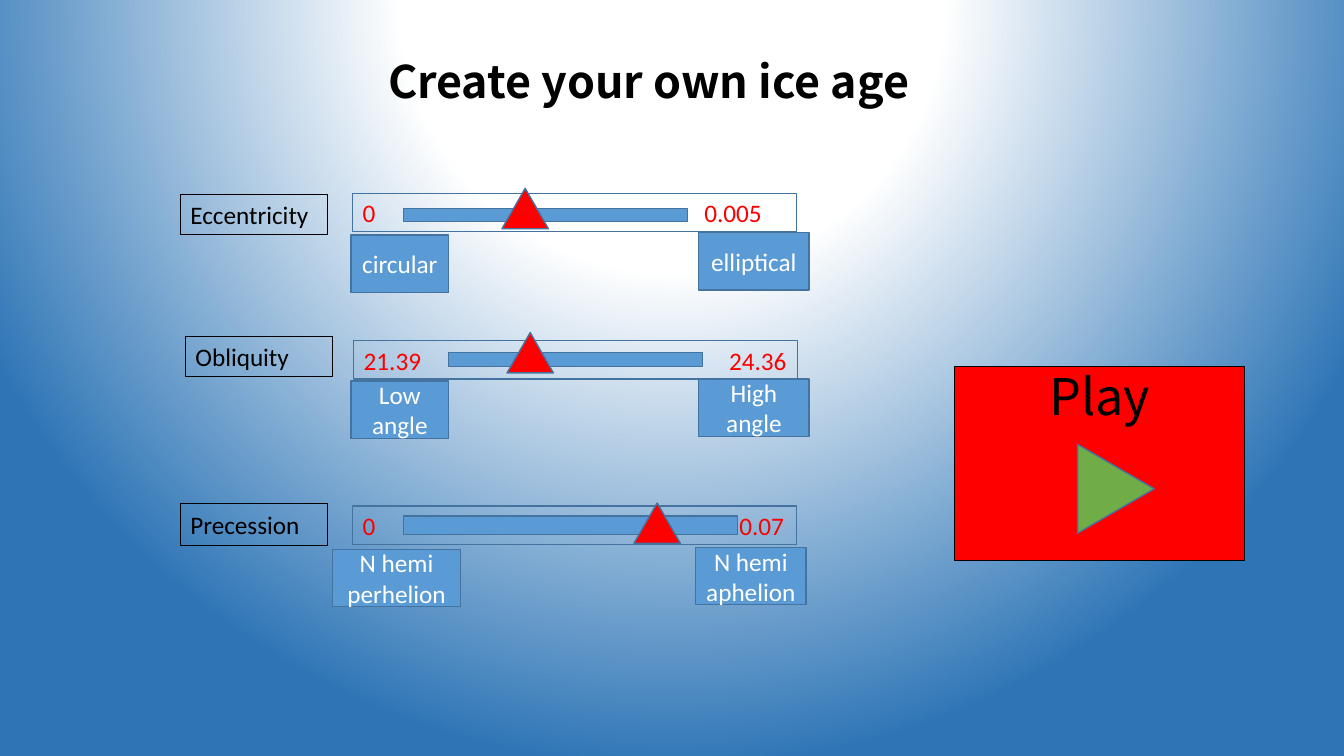
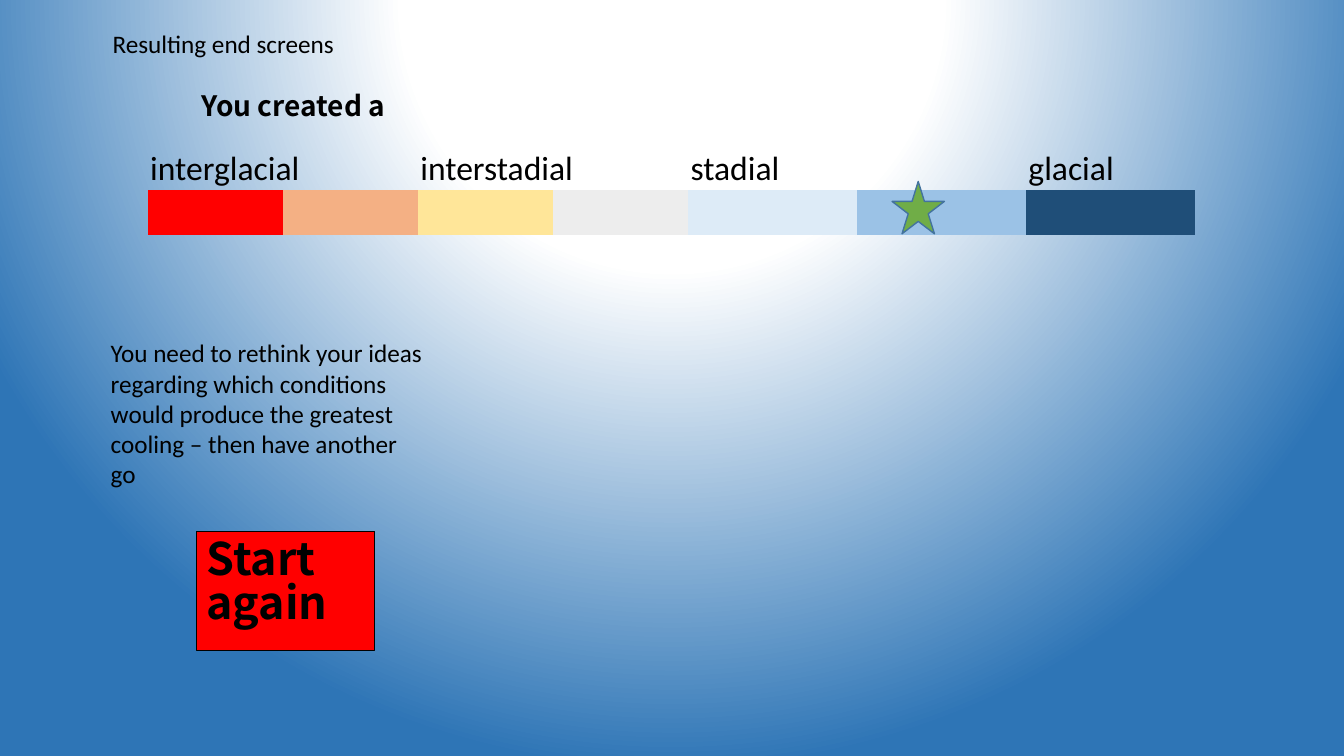
import dataclasses

import pptx
import pptx.dml.color
import pptx.enum.shapes
import pptx.enum.text
import pptx.oxml
import pptx.oxml.ns
import pptx.util

Pt = pptx.util.Pt
RGBColor = pptx.dml.color.RGBColor
SHAPE = pptx.enum.shapes.MSO_SHAPE
ALIGN = pptx.enum.text.PP_ALIGN
ANCHOR = pptx.enum.text.MSO_ANCHOR
qn = pptx.oxml.ns.qn

BLACK = RGBColor(0x00, 0x00, 0x00)
WHITE = RGBColor(0xFF, 0xFF, 0xFF)
RED = RGBColor(0xFF, 0x00, 0x00)
BLUE = RGBColor(0x5B, 0x9B, 0xD5)
EDGE = RGBColor(0x43, 0x73, 0x9E)
GREEN = RGBColor(0x70, 0xAD, 0x47)
ORANGE = RGBColor(0xF4, 0xB0, 0x84)
YELLOW = RGBColor(0xFF, 0xE6, 0x99)
GREY = RGBColor(0xED, 0xED, 0xED)
PALE_BLUE = RGBColor(0xDD, 0xEB, 0xF7)
SKY_BLUE = RGBColor(0x9B, 0xC2, 0xE6)
NAVY = RGBColor(0x1F, 0x4E, 0x78)
BODY_FONT = "Calibri"
DISPLAY_FONT = "Noto Sans CJK KR"
NO_GRID_STYLE = "{2D5ABB26-0587-4C30-8999-92F81FD0307C}"
GLOW = (
    '<a:gradFill xmlns:a="http://schemas.openxmlformats.org/drawingml/2006/main" rotWithShape="1">'
    '<a:gsLst><a:gs pos="0"><a:srgbClr val="FFFFFF"/></a:gs>'
    '<a:gs pos="35000"><a:srgbClr val="FFFFFF"/></a:gs>'
    '<a:gs pos="100000"><a:srgbClr val="2E75B6"/></a:gs></a:gsLst>'
    '<a:path path="circle"><a:fillToRect l="50000" t="-80000" r="50000" b="180000"/></a:path>'
    '</a:gradFill>'
)


@dataclasses.dataclass
class Slider:
    """One orbital setting with its scale, end captions and marker, in points."""
    name: str
    label: tuple
    track: tuple
    frame: tuple
    limits: str
    tab: float
    low: tuple
    high: tuple
    marker: tuple


SLIDERS = [
    Slider("Eccentricity", (128.9, 139, 105, 28.8), (288, 149, 203, 9.4), (252, 138.2),
           "0\t0.005", 244, ("circular", 250.6, 167.8, 70), ("elliptical", 499, 166.3, 79),
           (358.6, 134.6)),
    Slider("Obliquity", (132.5, 240.5, 105, 28.8), (320.4, 252, 181.4, 10), (252.7, 243.4),
           "21.39\t24.36", 261, ("Low angle", 250.6, 272.2, 70), ("High angle", 499, 270.7, 79),
           (362.2, 237.6)),
    Slider("Precession", (128.9, 360, 105, 30), (288, 368.6, 239, 13), (252, 361.4),
           "0\t0.07", 269, ("N hemi perhelion", 237.6, 392.4, 91.4),
           ("N hemi aphelion", 496.8, 391, 79), (452.9, 359.3)),
]


def points(place):
    """Turn left, top, width and height into lengths."""
    return [Pt(value) for value in place]


def write(holder, text, size=18, font=BODY_FONT, color=BLACK, bold=False,
          align=ALIGN.LEFT, anchor=ANCHOR.TOP):
    """Fill a text holder with one styled paragraph."""
    frame = holder.text_frame
    frame.text = text
    frame.word_wrap = True
    frame.vertical_anchor = anchor
    para = frame.paragraphs[0]
    para.alignment = align
    span = para.runs[0].font
    span.size, span.name, span.bold = Pt(size), font, bold
    span.color.rgb = color
    if font == DISPLAY_FONT:
        para.line_spacing = 0.83
        frame.margin_top = Pt(6)


def add_title(page, text, place, size):
    """Place and style the title placeholder."""
    title = page.shapes.title
    title.left, title.top, title.width, title.height = points(place)
    write(title, text, size, DISPLAY_FONT, bold=True)
    title.text_frame.auto_size = pptx.enum.text.MSO_AUTO_SIZE.NONE


def add_shape(page, kind, place, fill=None, edge=EDGE, edge_width=1):
    """Draw a preset shape, hollow when no fill is given."""
    shape = page.shapes.add_shape(kind, *points(place))
    shape.shadow.inherit = False
    if fill is None:
        shape.fill.background()
    else:
        shape.fill.solid()
        shape.fill.fore_color.rgb = fill
    shape.line.color.rgb = edge
    shape.line.width = Pt(edge_width)
    return shape


def add_panel(page, place, text, fill=None, **style):
    """Draw a thin black bordered box with text."""
    box = add_shape(page, SHAPE.RECTANGLE, place, fill, BLACK, 0.75)
    write(box, text, **style)


def add_text(page, place, text):
    """Add a plain body text box."""
    write(page.shapes.add_textbox(*points(place)), text)


def add_tab_stop(para, position):
    """Give a paragraph one left tab stop."""
    properties = para._p.get_or_add_pPr()
    stops = properties.makeelement(qn("a:tabLst"), {})
    stop = stops.makeelement(qn("a:tab"), {"pos": str(int(Pt(position))), "algn": "l"})
    stops.append(stop)
    properties.append(stops)


def add_slider(page, slider):
    """Draw one setting with its scale and marker."""
    add_panel(page, slider.label, slider.name)
    add_shape(page, SHAPE.RECTANGLE, slider.track, BLUE)
    frame = add_shape(page, SHAPE.RECTANGLE, (*slider.frame, 317, 27.4))
    write(frame, slider.limits, color=RED, anchor=ANCHOR.MIDDLE)
    add_tab_stop(frame.text_frame.paragraphs[0], slider.tab)
    for text, left, top, width in (slider.low, slider.high):
        caption = add_shape(page, SHAPE.RECTANGLE, (left, top, width, 41), BLUE)
        write(caption, text, color=WHITE, align=ALIGN.CENTER, anchor=ANCHOR.MIDDLE)
    add_shape(page, SHAPE.ISOSCELES_TRIANGLE, (*slider.marker, 33.1, 28.8), RED)


def add_climate_scale(page):
    """Build the colour scale from interglacial to glacial."""
    colors = [RED, ORANGE, YELLOW, GREY, PALE_BLUE, SKY_BLUE, NAVY]
    widths = [96.5] * 4 + [120.7] * 3
    names = {0: "interglacial", 2: "interstadial", 4: "stadial", 6: "glacial"}
    holder = page.shapes.add_table(2, len(colors), *points((105.8, 103.7, sum(widths), 64)))
    table = holder.table
    table.first_row = table.horz_banding = False
    table._tbl.tblPr.find(qn("a:tableStyleId")).text = NO_GRID_STYLE
    for row in table.rows:
        row.height = Pt(32)
    for index, (color, width) in enumerate(zip(colors, widths)):
        table.columns[index].width = Pt(width)
        table.cell(0, index).fill.background()
        swatch = table.cell(1, index).fill
        swatch.solid()
        swatch.fore_color.rgb = color
    for start in (0, 2):
        table.cell(0, start).merge(table.cell(0, start + 1))
    for index, name in names.items():
        cell = table.cell(0, index)
        write(cell, name, 24)
        cell.vertical_anchor = ANCHOR.BOTTOM
        cell.margin_left = cell.margin_right = cell.margin_top = Pt(1.5)
        cell.margin_bottom = Pt(0)


def set_background(master):
    """Give every page the blue radial glow."""
    master.background.fill.gradient()
    gradient = master.element.find(".//" + qn("p:bgPr")).find(qn("a:gradFill"))
    gradient.getparent().replace(gradient, pptx.oxml.parse_xml(GLOW))


def build_settings(page):
    """Build the page with the three sliders."""
    add_title(page, "Create your own ice age", (270, 38.9, 432, 46), 32)
    add_panel(page, (681.8, 262, 207.4, 138.2), "Play", RED, size=36,
              font=DISPLAY_FONT, align=ALIGN.CENTER)
    for slider in SLIDERS:
        add_slider(page, slider)
    arrow = add_shape(page, SHAPE.ISOSCELES_TRIANGLE, (765.4, 321.8, 63.4, 54.7), GREEN)
    arrow.rotation = 90


def build_result(page):
    """Build the page with the resulting climate."""
    add_title(page, "You created a", (136.8, 61.2, 199.4, 31.7), 20)
    add_text(page, (73.4, 16.6, 524, 28.8), "Resulting end screens")
    add_climate_scale(page)
    add_shape(page, SHAPE.STAR_5_POINT, (637.2, 129.6, 37.4, 37.4), GREEN)
    add_text(page, (72, 237.6, 240, 116.6),
             "You need to rethink your ideas regarding which conditions would produce "
             "the greatest cooling – then have another go")
    add_panel(page, (140.4, 379.4, 127.4, 85), "Start again", RED, size=32,
              font=DISPLAY_FONT, bold=True)


def main():
    """Build and save the deck."""
    deck = pptx.Presentation()
    deck.slide_width, deck.slide_height = Pt(960), Pt(540)
    set_background(deck.slide_master)
    for build in (build_settings, build_result):
        build(deck.slides.add_slide(deck.slide_layouts[5]))
    deck.save("out.pptx")


if __name__ == "__main__":
    main()
